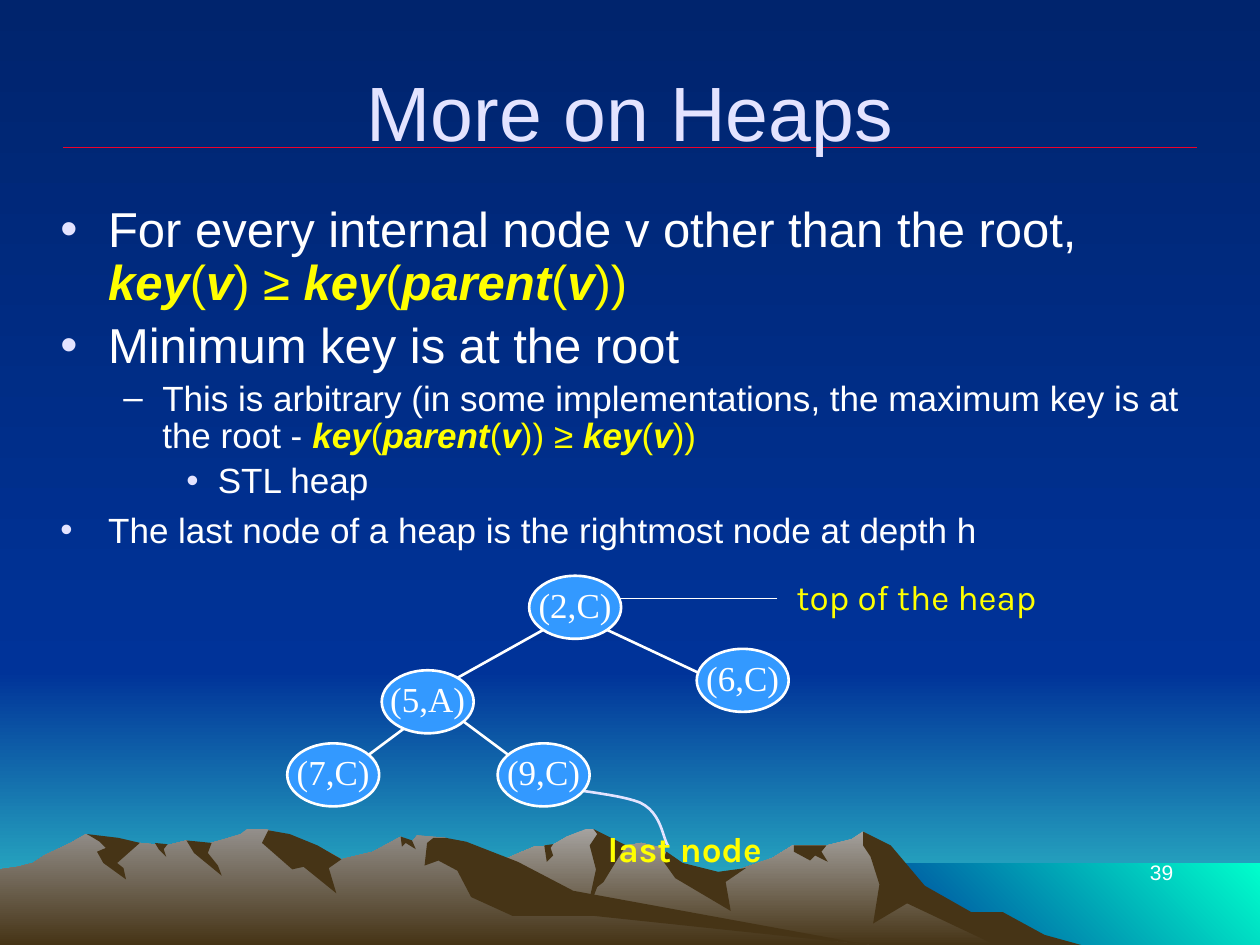
"""Build the "More on Heaps" slide: heap rules, an example tree and a mountain backdrop."""
import pptx
import pptx.dml.color
import pptx.enum.shapes
import pptx.enum.text
import pptx.oxml
import pptx.oxml.ns
import pptx.util

Inches, Pt = pptx.util.Inches, pptx.util.Pt
ALIGN, ANCHOR = pptx.enum.text.PP_ALIGN, pptx.enum.text.MSO_ANCHOR
NS = pptx.oxml.ns.nsdecls("a")

WHITE, LILAC, YELLOW, RED, NODE_BLUE = "FFFFFF", "E3E3FF", "FFFF00", "EF0129", "3399FF"
EARTH, NIGHT, DUSK, SEA = "463416", ("00246D", "003399"), ("003399", "33CCCC"), ("003399", "00FFCC")
DOWNWARD, TO_UPPER_RIGHT = 270, 45

WIDTH, HEIGHT, HORIZON = 10, 7.5, 5.33
NODE_WIDTH, NODE_HEIGHT = 0.73, 0.5
LABEL_WIDTH, LABEL_HEIGHT = 2.63, 0.43

TITLE, PAGE = "More on Heaps", "39"
POINTS = [
    dict(level=0, size=28, lead="For every internal node v other than the root,\n",
         formula="*key*(*v*) ≥ *key*(*parent*(*v*))"),
    dict(level=0, size=28, lead="Minimum key is at the root"),
    dict(level=1, size=20,
         lead="This is arbitrary (in some implementations, the maximum key is at the root - ",
         formula="*key*(*parent*(*v*)) ≥ *key*(*v*))"),
    dict(level=2, size=20, lead="STL heap"),
    dict(level=0, size=20, lead="The last node of a heap is the rightmost node at depth h", spacing=1.0),
]
LEVELS = [
    dict(margin=0.38, hang=0.38, bullet="•", color=LILAC),
    dict(margin=0.81, hang=0.31, bullet="–", color=WHITE),
    dict(margin=1.25, hang=0.25, bullet="•", color=LILAC),
]
NODES = {"(2,C)": (4.2, 4.57), "(5,A)": (3.03, 5.32), "(6,C)": (5.53, 5.15),
         "(9,C)": (3.95, 5.9), "(7,C)": (2.28, 5.9)}
EDGES = {
    ("(2,C)", "(5,A)"): (4.31, 5, 3.63, 5.38),
    ("(2,C)", "(6,C)"): (4.82, 5, 5.63, 5.38),
    ("(5,A)", "(7,C)"): (3.33, 5.69, 2.86, 6.04),
    ("(5,A)", "(9,C)"): (3.63, 5.69, 4.1, 6.04),
}
LABELS = [("last node", 4.12, 6.52, True), ("top of the heap", 5.96, 4.52, False)]
TOP_POINTER = (6.17, 4.75, 4.92, 4.75)
LAST_NODE_POINTER = [(5.3, 6.71), (5.26, 6.65), (5.25, 6.45), (5.08, 6.37),
                     (4.91, 6.3), (4.45, 6.26), (4.28, 6.23)]

BANDS = [
    dict(left=0, top=HORIZON, bottom=HEIGHT, shades=DUSK, angle=DOWNWARD),
    dict(left=0, top=0, bottom=HORIZON, shades=NIGHT, angle=DOWNWARD),
    dict(left=6.83, top=6.85, bottom=HEIGHT, shades=SEA, angle=TO_UPPER_RIGHT),
]
RIGHT_RANGE = dict(
    shades=("A5A29F", EARTH),
    skyline="2.58,7.5 2.77,7.39 3.27,7.09 3.55,6.98 3.94,6.85 4.12,6.77 4.24,6.72 4.38,6.71 4.5,6.64 4.65,6.58 "
            "4.71,6.58 4.86,6.73 5.09,6.69 5.26,6.73 5.36,6.9 5.66,6.97 6.13,6.81 6.29,6.71 6.56,6.71 6.76,6.66 "
            "6.85,6.6 7.02,6.71 7.23,6.98 7.64,7.23 7.78,7.27 8.02,7.4 8.21,7.5",
    shadows={
        "east slope": "7.96,7.24 7.71,7.24 7.34,7.03 7.07,6.71 6.85,6.6 6.85,6.71 6.91,6.8 6.98,7.02 6.93,7.33 "
                      "7.2,7.17 7.9,7.5 8.58,7.5 8.29,7.42",
        "middle peak": "4.71,6.58 4.74,6.62 4.68,6.71 4.73,6.9 4.65,7.27 4.74,7.04 4.79,7 4.9,6.82 4.97,6.71",
        "saddle": "5.29,6.76 5.26,6.83 5.36,6.97 5.8,7.23 5.76,7 5.92,6.89 5.7,6.92 5.42,6.85",
        "east notch": "6.3,6.71 6.3,6.76 6.43,6.83 6.47,6.79 6.57,6.84 6.52,6.76 6.56,6.71",
        "west notch": "4.32,6.71 4.39,6.7 4.37,6.73 4.39,6.79 4.34,6.84",
    })
LEFT_RANGE = dict(
    shades=("938F8B", EARTH),
    skyline="0,6.9 0.14,6.88 0.26,6.85 0.35,6.79 0.56,6.69 0.68,6.62 0.94,6.71 1.11,6.69 1.32,6.71 1.48,6.67 "
            "1.6,6.71 1.78,6.66 1.91,6.62 1.96,6.58 2.12,6.58 2.23,6.63 2.36,6.81 2.6,6.76 2.71,6.82 2.96,6.76 "
            "3.18,6.64 3.27,6.68 3.31,6.63 3.54,6.65 4.32,7.12 6.67,7.48 6.9,7.5",
    shadows={
        "middle peak": "2.13,6.59 2.08,6.69 2.32,6.9 2.41,6.88 2.67,7.09 2.61,6.89 2.71,6.82 2.52,6.71 2.3,6.62",
        "long slope": "3.7,6.68 3.54,6.65 3.44,6.65 3.39,6.69 3.37,6.87 3.48,6.83 3.63,6.91 3.74,7.12 4.07,7.27 "
                      "4.72,7.27 6.9,7.5 4.55,7.07 4.11,6.84",
        "east notch": "3.18,6.64 3.27,6.67 3.3,6.74 3.22,6.69 3.19,6.72",
        "middle notch": "1.48,6.67 1.68,6.69 1.65,6.77 1.73,6.87 1.76,6.95 1.54,6.77",
        "west notch": "1.23,6.69 1.33,6.7 1.3,6.74 1.32,6.8 1.26,6.74",
        "west peak": "0.69,6.62 0.94,6.65 1.11,6.69 0.93,6.85 0.98,6.89 1,6.98 0.82,6.85 0.77,6.76 0.84,6.73 "
                     "0.79,6.68",
    })


def rgb(color):
    return pptx.dml.color.RGBColor.from_string(color)


def paint(fill, color, angle=DOWNWARD):
    if isinstance(color, str):
        fill.solid()
        fill.fore_color.rgb = rgb(color)
        return
    fill.gradient()
    fill.gradient_angle = angle
    for stop, shade in zip(fill.gradient_stops, color):
        stop.color.rgb = rgb(shade)


def stroke(line, color=WHITE, width=1.5):
    line.color.rgb, line.width = rgb(color), Pt(width)


def element(xml):
    return pptx.oxml.parse_xml(xml.replace("/>", f" {NS}/>", 1) if xml.count("<") == 1
                               else xml.replace(">", f" {NS}>", 1))


def write(paragraph, text, size=20, color=WHITE, font="Arial", bold=False, italic=False, align=None):
    if align is not None:
        paragraph.alignment = align
    run = paragraph.add_run()
    run.text = text.rstrip("\n")
    run.font.size, run.font.name = Pt(size), font
    run.font.bold, run.font.italic = bold, italic
    run.font.color.rgb = rgb(color)
    if text.endswith("\n"):
        paragraph.add_line_break()


def add_box(shapes, left, top, width, height, anchor=ANCHOR.TOP):
    frame = shapes.add_textbox(*map(Inches, (left, top, width, height))).text_frame
    frame.word_wrap, frame.vertical_anchor = True, anchor
    return frame


def add_outline(shapes, points, closed=True):
    start, *rest = [(Inches(x), Inches(y)) for x, y in points]
    builder = shapes.build_freeform(*start)
    builder.add_line_segments(rest, close=closed)
    outline = builder.convert_to_shape()
    outline.shadow.inherit = False
    return outline


def add_area(shapes, points, color, angle=DOWNWARD):
    area = add_outline(shapes, points)
    paint(area.fill, color, angle)
    area.line.fill.background()


def add_line(shapes, ends, color=WHITE, width=1.5):
    line = shapes.add_connector(pptx.enum.shapes.MSO_CONNECTOR.STRAIGHT, *map(Inches, ends))
    stroke(line.line, color, width)
    line._element.spPr.append(element("<a:effectLst/>"))


def read_points(pairs):
    return [tuple(map(float, pair.split(","))) for pair in pairs.split()]


def bezier(points, steps=12):
    curve = [points[0]]
    for first in range(0, len(points) - 1, 3):
        corners = points[first:first + 4]
        for t in (step / steps for step in range(1, steps + 1)):
            weights = ((1 - t) ** 3, 3 * t * (1 - t) ** 2, 3 * t * t * (1 - t), t ** 3)
            curve.append(tuple(sum(w * c[axis] for w, c in zip(weights, corners)) for axis in (0, 1)))
    return curve


def add_range(shapes, shades, skyline, shadows):
    ridge = read_points(skyline)
    foot = [(ridge[-1][0], HEIGHT), (ridge[0][0], HEIGHT)]
    add_area(shapes, ridge + foot, shades)
    for shadow in shadows.values():
        add_area(shapes, read_points(shadow), EARTH)


def add_backdrop(slide):
    paint(slide.background.fill, NIGHT)
    for band in BANDS:
        left, top, bottom = band["left"], band["top"], band["bottom"]
        corners = [(left, top), (WIDTH, top), (WIDTH, bottom), (left, bottom)]
        add_area(slide.shapes, corners, band["shades"], band["angle"])
    for mountains in (RIGHT_RANGE, LEFT_RANGE):
        add_range(slide.shapes, **mountains)
    add_line(slide.shapes, (0.5, 1.17, 9.5, 1.17), RED, 1)


def add_title(slide):
    title = slide.shapes.title
    slide.shapes._spTree.append(title._element)
    title.left, title.top, title.width, title.height = map(Inches, (0.5, 0.25, 9, 1.25))
    title.text_frame.vertical_anchor = ANCHOR.MIDDLE
    write(title.text_frame.paragraphs[0], TITLE, size=44, color=LILAC, align=ALIGN.CENTER)


def set_bullet(paragraph, margin, hang, bullet, color):
    props = paragraph._p.get_or_add_pPr()
    props.set("marL", str(Inches(margin)))
    props.set("indent", str(-Inches(hang)))
    for xml in (f'<a:buClr><a:srgbClr val="{color}"/></a:buClr>',
                '<a:buFont typeface="Arial"/>', f'<a:buChar char="{bullet}"/>'):
        props.append(element(xml))


def add_point(paragraph, level, size, lead, formula="", spacing=0.9):
    set_bullet(paragraph, **LEVELS[level])
    paragraph.level, paragraph.line_spacing = level, spacing
    write(paragraph, lead, size=size)
    for order, part in enumerate(formula.split("*")):
        if part:
            is_name = order % 2 == 1
            write(paragraph, part, size=size, color=YELLOW, bold=is_name, italic=is_name)


def add_points(shapes):
    frame = add_box(shapes, 0.38, 1.58, 9.25, 5)
    for index, point in enumerate(POINTS):
        paragraph = frame.add_paragraph() if index else frame.paragraphs[0]
        add_point(paragraph, **point)
        paragraph.space_before = Pt(0.2 * point["size"] if index else 0)


def add_node(shapes, key, left, top):
    node = shapes.add_shape(pptx.enum.shapes.MSO_SHAPE.OVAL, *map(Inches, (left, top, NODE_WIDTH, NODE_HEIGHT)))
    node.shadow.inherit = False
    paint(node.fill, NODE_BLUE)
    stroke(node.line)
    frame = node.text_frame
    frame.margin_left = frame.margin_right = frame.margin_top = 0
    frame.margin_bottom = Inches(0.05)
    frame.word_wrap, frame.vertical_anchor = False, ANCHOR.MIDDLE
    write(frame.paragraphs[0], key, font="Times New Roman", align=ALIGN.CENTER)


def add_tree(shapes):
    for ends in EDGES.values():
        add_line(shapes, ends)
    pointer = add_outline(shapes, bezier(LAST_NODE_POINTER), closed=False)
    pointer.fill.background()
    stroke(pointer.line, LILAC)
    pointer.line._get_or_add_ln().append(element('<a:tailEnd type="triangle"/>'))
    for key, place in NODES.items():
        add_node(shapes, key, *place)
    for label, left, top, bold in LABELS:
        frame = add_box(shapes, left, top, LABEL_WIDTH, LABEL_HEIGHT)
        write(frame.paragraphs[0], label, color=YELLOW, font="Karla", bold=bold, align=ALIGN.CENTER)
    add_line(shapes, TOP_POINTER, width=0.75)


def main():
    deck = pptx.Presentation()
    deck.slide_width, deck.slide_height = Inches(WIDTH), Inches(HEIGHT)
    slide = deck.slides.add_slide(deck.slide_layouts[5])
    add_backdrop(slide)
    page = add_box(slide.shapes, 7.08, 6.55, 2.33, 0.52, ANCHOR.BOTTOM)
    write(page.paragraphs[0], PAGE, size=12, align=ALIGN.RIGHT)
    add_title(slide)
    add_points(slide.shapes)
    add_tree(slide.shapes)
    deck.save("out.pptx")


if __name__ == "__main__":
    main()
